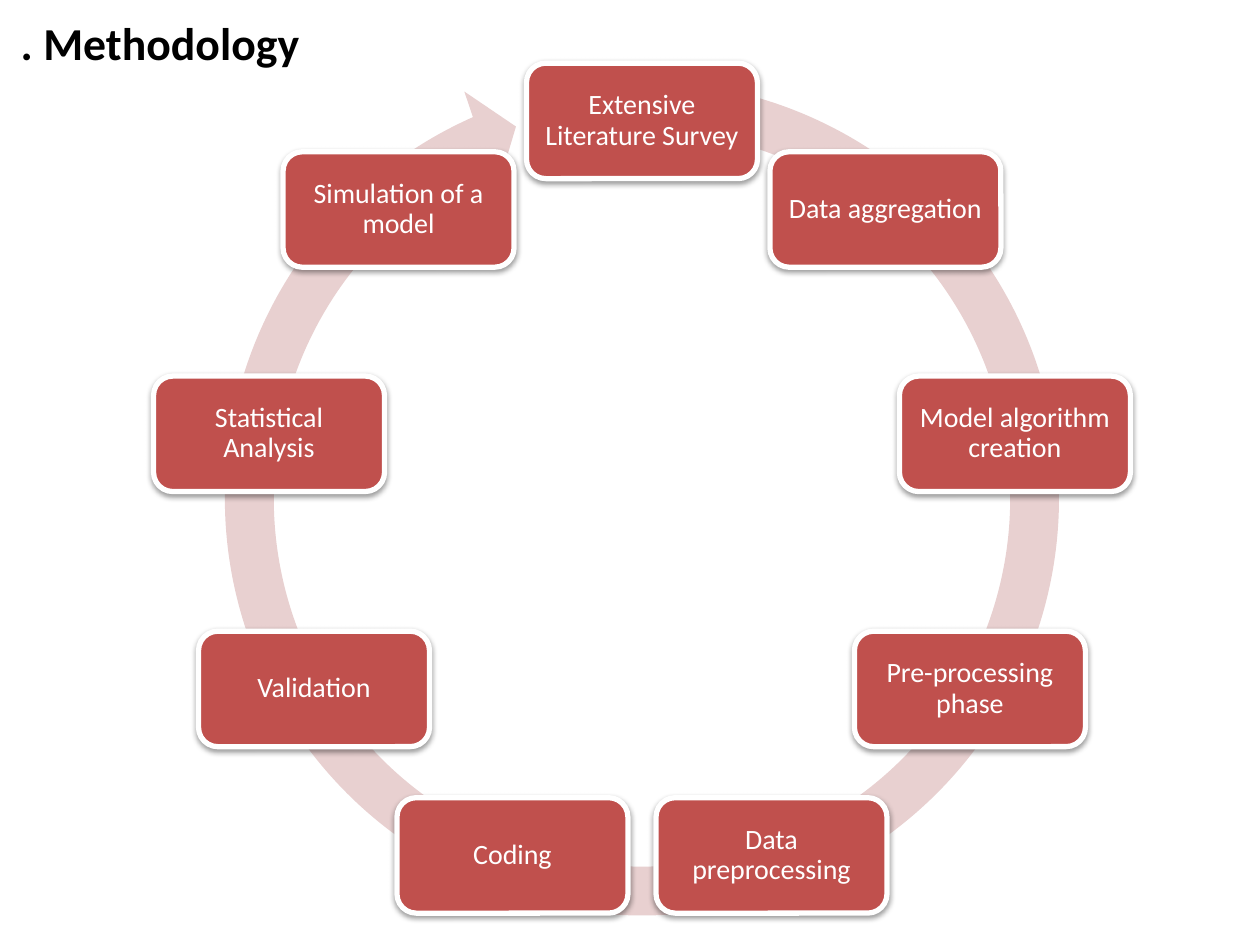
from math import cos, radians, sin

from lxml.etree import SubElement
from pptx import Presentation
from pptx.dml.color import RGBColor
from pptx.enum.shapes import MSO_SHAPE as Preset
from pptx.enum.text import MSO_ANCHOR as Anchor, MSO_AUTO_SIZE as AutoSize, PP_ALIGN as Align
from pptx.oxml.ns import qn
from pptx.util import Pt

COLORS = {"title": "000000", "ring": "E8D0D0", "step": "C0504D",
          "white": "FFFFFF", "shadow": "000000"}
FONT = "Calibri"
STEPS = [
    "Extensive Literature Survey", "Data aggregation", "Model algorithm creation",
    "Pre-processing phase", "Data preprocessing", "Coding", "Validation",
    "Statistical Analysis", "Simulation of a model",
]


def format_text(shape, size, color, bold=False):
    frame = shape.text_frame
    frame.word_wrap = True
    frame.auto_size = AutoSize.NONE
    frame.vertical_anchor = Anchor.MIDDLE
    paragraph = frame.paragraphs[0]
    paragraph.alignment = Align.CENTER
    paragraph.line_spacing = 0.9
    font = paragraph.runs[0].font
    font.name, font.size, font.bold = FONT, Pt(size), bold
    font.color.rgb = RGBColor.from_string(COLORS[color])


def add_shadow(shape):
    shape.shadow.inherit = False
    effects = shape._element.spPr.find(qn("a:effectLst"))
    shadow = SubElement(effects, qn("a:outerShdw"), blurRad=str(Pt(3.1)),
                        dist=str(Pt(1.6)), dir="5400000", rotWithShape="0")
    color = SubElement(shadow, qn("a:srgbClr"), val=COLORS["shadow"])
    SubElement(color, qn("a:alpha"), val="38000")


presentation = Presentation()
presentation.slide_width, presentation.slide_height = Pt(720), Pt(540)
slide = presentation.slides.add_slide(presentation.slide_layouts[5])

# Title
title = slide.shapes.title
title.left, title.top, title.width, title.height = Pt(0), Pt(0), Pt(183), Pt(52.5)
title.text_frame.text = ". Methodology"
format_text(title, 26.1, "title", bold=True)

# Circular arrow behind the steps
center_x, center_y = 366.84, 285.5
ring_size = 507.6
ring = slide.shapes.add_shape(Preset.CIRCULAR_ARROW, Pt(center_x - ring_size / 2),
                              Pt(31), Pt(ring_size), Pt(ring_size))
for index, value in enumerate([0.055, 3.307, 147.464, 168.193, 0.058]):
    ring.adjustments[index] = value
ring.shadow.inherit = False
ring.fill.solid()
ring.fill.fore_color.rgb = RGBColor.from_string(COLORS["ring"])
ring.line.fill.background()

# Steps spaced evenly clockwise from the top
radius = 216.4
step_width, step_height = 132, 66
for index, label in enumerate(STEPS):
    angle = radians(index * 360 / len(STEPS))
    left = center_x + radius * sin(angle) - step_width / 2
    top = center_y - radius * cos(angle) - step_height / 2
    step = slide.shapes.add_shape(Preset.ROUNDED_RECTANGLE, Pt(left), Pt(top),
                                  Pt(step_width), Pt(step_height))
    step.fill.solid()
    step.fill.fore_color.rgb = RGBColor.from_string(COLORS["step"])
    step.line.color.rgb = RGBColor.from_string(COLORS["white"])
    step.line.width = Pt(3)
    add_shadow(step)
    frame = step.text_frame
    frame.margin_left = frame.margin_right = Pt(4.8)
    frame.margin_top = frame.margin_bottom = Pt(4.8)
    frame.text = label
    format_text(step, 16, "white")

presentation.save("out.pptx")
